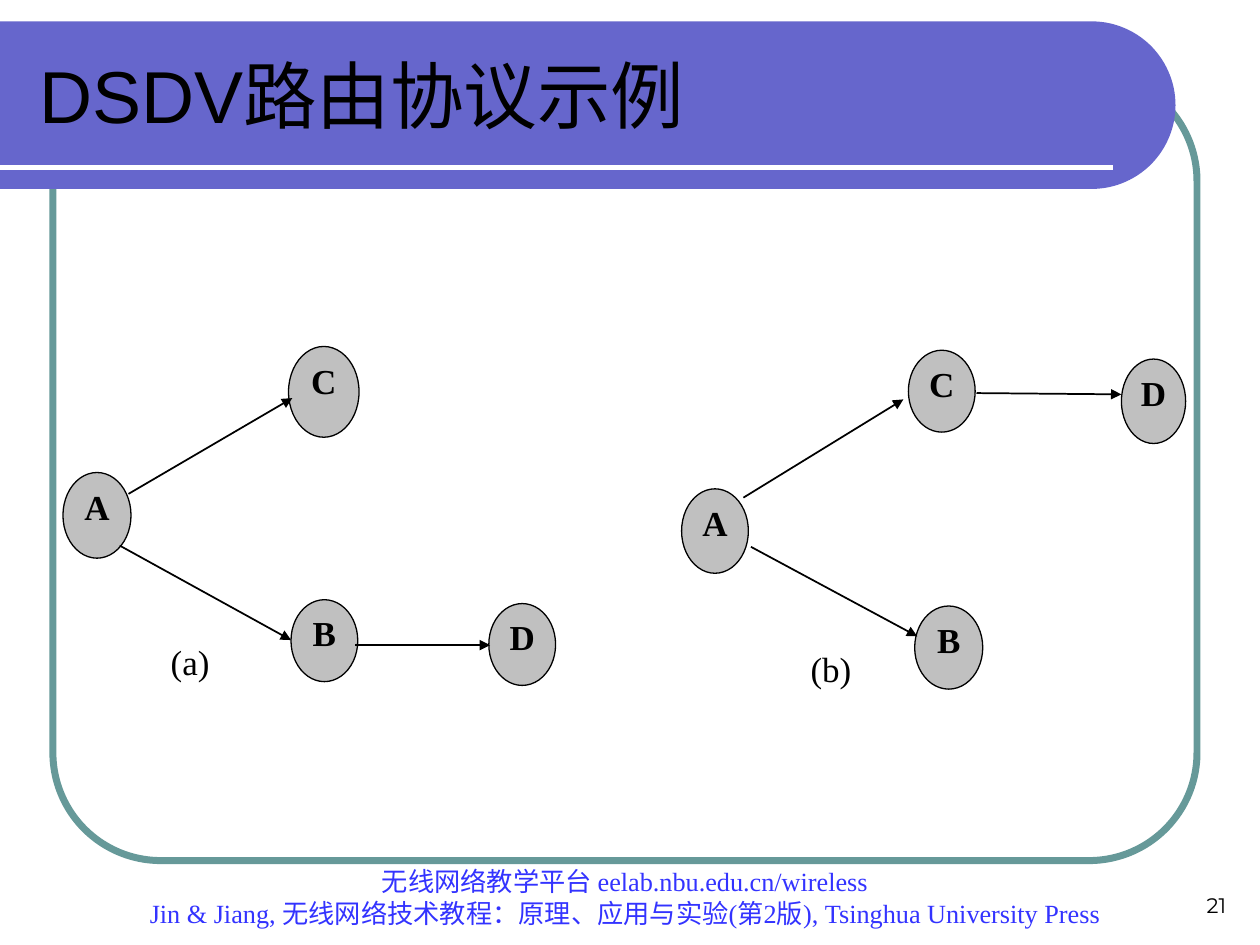
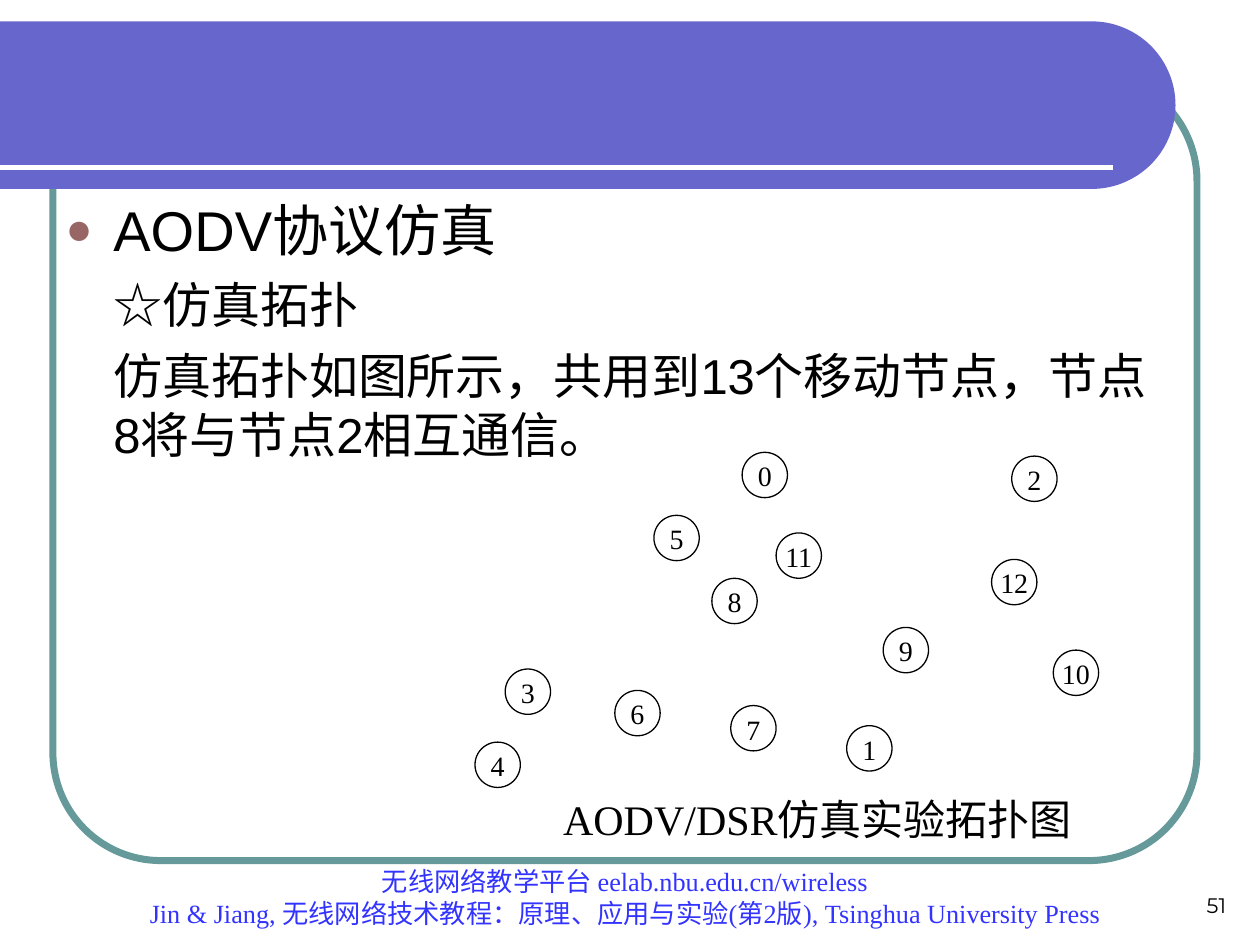
import math

import pptx
import pptx.dml.color
import pptx.enum.shapes
import pptx.enum.text
import pptx.oxml
import pptx.oxml.ns
import pptx.util
from pptx.util import Inches

BLACK = "000000"
WHITE = "FFFFFF"
BAND = "6666CC"
FRAME = "669999"
BULLET = "996666"
FOOTER = "3333FF"
NODE_GREY = "C0C0C0"
SANS = "Arial"
SERIF = "Times New Roman"
NUMBER_FONT = "Montserrat"

ALIGN = pptx.enum.text.PP_ALIGN
ANCHOR = pptx.enum.text.MSO_ANCHOR
SHAPE = pptx.enum.shapes.MSO_SHAPE

FOOTER_LINES = [
    "无线网络教学平台 eelab.nbu.edu.cn/wireless",
    "Jin & Jiang, 无线网络技术教程：原理、应用与实验(第2版), Tsinghua University Press",
]

NETWORK_A = {
    "label": ("(a)", 0.58, 2.33, 0.86, 0.45),
    "nodes": [
        ("A", 0, 1, 0.54, 0.68),
        ("C", 1.79, 0, 0.56, 0.72),
        ("B", 1.81, 2.01, 0.53, 0.65),
        ("D", 3.38, 2.04, 0.53, 0.65),
    ],
    "arrows": [
        (0.52, 1.17, 1.82, 0.41),
        (2.32, 2.37, 3.39, 2.37),
        (0.45, 1.58, 1.81, 2.33),
    ],
}

NETWORK_B = {
    "label": ("(b)", 0.79, 2.36, 0.79, 0.49),
    "nodes": [
        ("A", 0, 1.1, 0.53, 0.67),
        ("C", 1.8, 0, 0.53, 0.65),
        ("B", 1.85, 2.03, 0.54, 0.66),
        ("D", 3.49, 0.07, 0.51, 0.67),
    ],
    "arrows": [
        (0.49, 1.17, 1.76, 0.39),
        (2.34, 0.34, 3.49, 0.35),
        (0.55, 1.56, 1.87, 2.27),
    ],
}

MOBILE_NODES = {
    0: (2.12, 0), 1: (2.95, 2.17), 2: (4.26, 0.03), 3: (0.24, 1.72),
    4: (0, 2.3), 5: (1.42, 0.5), 6: (1.11, 1.89), 7: (2.03, 2.01),
    8: (1.88, 1), 9: (3.24, 1.39), 10: (4.59, 1.57), 11: (2.39, 0.64),
    12: (4.1, 0.85),
}
MOBILE_NODE_SIZE = 0.36


def color(value):
    return pptx.dml.color.RGBColor.from_string(value)


def write_text(shape, lines, size=20, font=SERIF, fill=BLACK, bold=False,
               align=ALIGN.LEFT, anchor=ANCHOR.TOP, insets=(0.1, 0.05), wrap=True):
    frame = shape.text_frame
    frame.auto_size = pptx.enum.text.MSO_AUTO_SIZE.NONE
    frame.word_wrap = wrap
    frame.vertical_anchor = anchor
    frame.margin_left = frame.margin_right = Inches(insets[0])
    frame.margin_top = frame.margin_bottom = Inches(insets[1])
    for index, line in enumerate(lines):
        paragraph = frame.paragraphs[0] if index == 0 else frame.add_paragraph()
        paragraph.alignment = align
        run = paragraph.add_run()
        run.text = line
        run.font.size = pptx.util.Pt(size)
        run.font.name = font
        run.font.bold = bold
        run.font.color.rgb = color(fill)
    return frame.paragraphs


def add_text(slide, box, lines, **text_format):
    shape = slide.shapes.add_textbox(*map(Inches, box))
    return write_text(shape, lines, **text_format)


def style_shape(shape, fill=None, line=None, width=0.75):
    shape.shadow.inherit = False
    if fill:
        shape.fill.solid()
        shape.fill.fore_color.rgb = color(fill)
    else:
        shape.fill.background()
    if line:
        shape.line.color.rgb = color(line)
        shape.line.width = pptx.util.Pt(width)
    else:
        shape.line.fill.background()


def add_line(slide, start, end, line=BLACK, width=1, arrow=False):
    connector = slide.shapes.add_connector(
        pptx.enum.shapes.MSO_CONNECTOR.STRAIGHT, *map(Inches, (*start, *end)))
    connector.line.color.rgb = color(line)
    connector.line.width = pptx.util.Pt(width)
    if arrow:
        head = pptx.oxml.parse_xml(
            f'<a:tailEnd {pptx.oxml.ns.nsdecls("a")} type="triangle"/>')
        connector.line._get_or_add_ln().append(head)
    effects = pptx.oxml.parse_xml(f'<a:effectLst {pptx.oxml.ns.nsdecls("a")}/>')
    connector._element.spPr.append(effects)


def add_node(slide, box, label, fill, size, bold=False):
    node = slide.shapes.add_shape(SHAPE.OVAL, *map(Inches, box))
    style_shape(node, fill=fill, line=BLACK)
    write_text(node, [label], size=size, bold=bold, align=ALIGN.CENTER, insets=(0, 0))


def add_band(slide, left, top, width, height):
    radius = height / 2
    center_x, center_y = left + width - radius, top + radius
    angles = [math.radians(degree) for degree in range(-90, 91, 3)]
    arc = [(center_x + radius * math.cos(angle), center_y + radius * math.sin(angle))
           for angle in angles]
    outline = [(Inches(x), Inches(y))
               for x, y in [(left, top), *arc, (left, top + height)]]
    builder = slide.shapes.build_freeform(*outline[0])
    builder.add_line_segments(outline[1:], close=True)
    style_shape(builder.convert_to_shape(), fill=BAND)
    rule_y = top + height - 0.17
    add_line(slide, (left, rule_y), (left + width - 0.5, rule_y), line=WHITE, width=3)


def add_base(presentation, layout_index, number):
    slide = presentation.slides.add_slide(presentation.slide_layouts[layout_index])
    frame = slide.shapes.add_shape(
        SHAPE.ROUNDED_RECTANGLE, *map(Inches, (0.42, 0.58, 9.08, 6.25)))
    frame.adjustments[0] = 0.137
    style_shape(frame, line=FRAME, width=4)
    add_band(slide, 0, 0.17, 9.33, 1.33)
    add_text(slide, (0.75, 7, 8.42, 0.42), FOOTER_LINES, size=15, fill=FOOTER,
             align=ALIGN.CENTER, anchor=ANCHOR.BOTTOM)
    add_text(slide, (7.5, 6.83, 2.33, 0.5), [number], size=12, font=NUMBER_FONT,
             align=ALIGN.RIGHT, anchor=ANCHOR.BOTTOM)
    return slide


def place_placeholder(placeholder, box):
    placeholder.left, placeholder.top, placeholder.width, placeholder.height = map(Inches, box)
    placeholder._element.getparent().append(placeholder._element)


def add_network(slide, left, top, network):
    for name, x, y, width, height in network["nodes"]:
        add_node(slide, (left + x, top + y, width, height), name, NODE_GREY, 20, bold=True)
    for x1, y1, x2, y2 in network["arrows"]:
        add_line(slide, (left + x1, top + y1), (left + x2, top + y2), arrow=True)
    label, x, y, width, height = network["label"]
    add_text(slide, (left + x, top + y, width, height), [label],
             align=ALIGN.CENTER, insets=(0, 0))


def add_topology(slide, left, top):
    for number, (x, y) in MOBILE_NODES.items():
        box = (left + x, top + y, MOBILE_NODE_SIZE, MOBILE_NODE_SIZE)
        add_node(slide, box, str(number), WHITE, 16)
    add_text(slide, (left + 0.6, top + 2.66, 4.32, 0.5), ["AODV/DSR仿真实验拓扑图"],
             size=24, anchor=ANCHOR.MIDDLE, wrap=False)


def set_bullet(paragraph, bulleted):
    properties = paragraph._p.get_or_add_pPr()
    properties.set("marL", str(Inches(0.38)))
    properties.set("indent", str(Inches(-0.38) if bulleted else 0))
    namespace = pptx.oxml.ns.nsdecls("a")
    elements = [f"<a:buNone {namespace}/>"]
    if bulleted:
        elements = [
            f'<a:buClr {namespace}><a:srgbClr val="{BULLET}"/></a:buClr>',
            f'<a:buSzPct {namespace} val="80000"/>',
            f'<a:buFont {namespace} typeface="{SANS}"/>',
            f'<a:buChar {namespace} char="●"/>',
        ]
    for element in elements:
        properties.append(pptx.oxml.parse_xml(element))


def build_routing_slide(presentation):
    slide = add_base(presentation, 5, "21")
    title = slide.shapes.title
    place_placeholder(title, (0.21, 0.25, 8.77, 1))
    write_text(title, ["DSDV路由协议示例"], size=42, font=SANS, anchor=ANCHOR.MIDDLE)
    add_network(slide, 0.5, 2.75, NETWORK_A)
    add_network(slide, 5.41, 2.78, NETWORK_B)


def build_simulation_slide(presentation):
    slide = add_base(presentation, 1, "51")
    title = slide.shapes.title._element
    title.getparent().remove(title)
    body = slide.placeholders[1]
    place_placeholder(body, (0.42, 1.5, 8.92, 5.08))
    paragraphs = write_text(body, [
        "AODV协议仿真",
        "☆仿真拓扑",
        "仿真拓扑如图所示，共用到13个移动节点，节点8将与节点2相互通信。",
    ], size=28, font=SANS)
    for index, paragraph in enumerate(paragraphs):
        paragraph.space_before = pptx.util.Pt(7 if index else 0)
        set_bullet(paragraph, bulleted=index == 0)
    paragraphs[0].runs[0].font.size = pptx.util.Pt(32)
    add_topology(slide, 3.77, 3.59)


def main():
    presentation = pptx.Presentation()
    presentation.slide_width = Inches(10)
    presentation.slide_height = Inches(7.5)
    build_routing_slide(presentation)
    build_simulation_slide(presentation)
    presentation.save("out.pptx")


if __name__ == "__main__":
    main()
